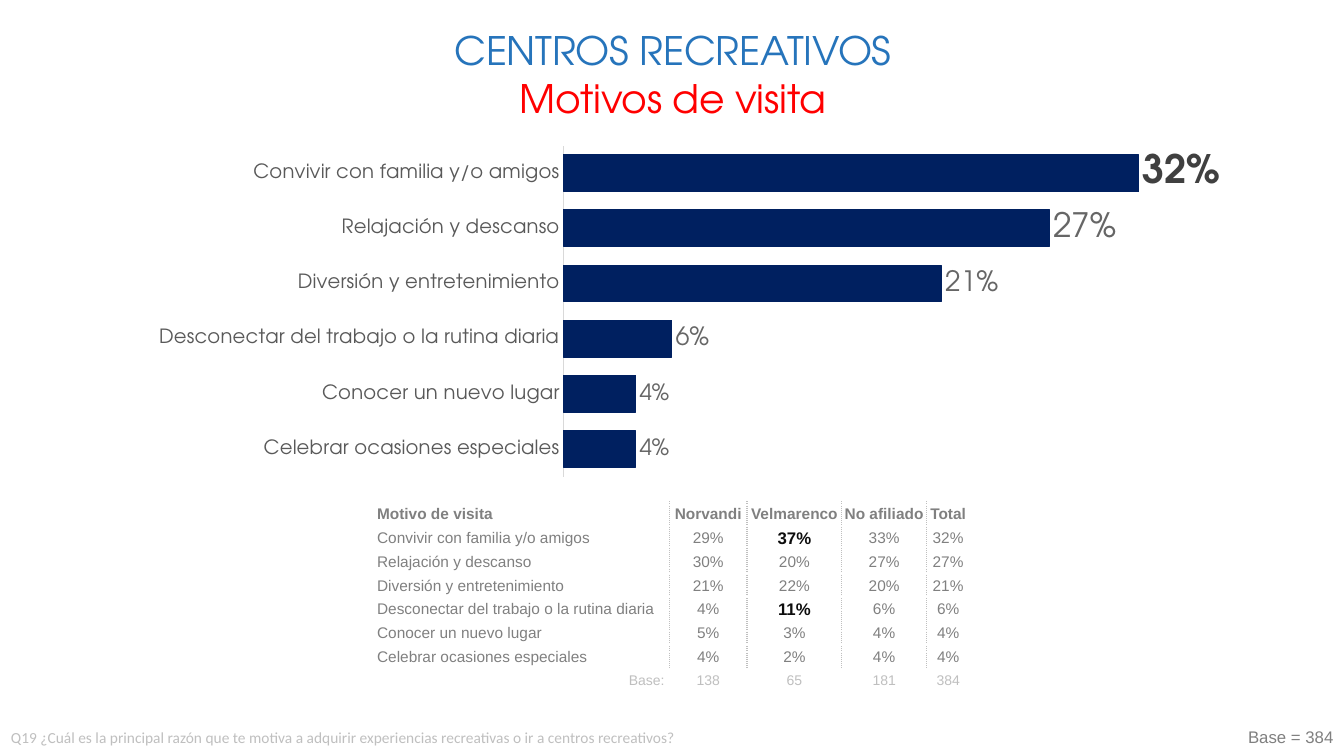
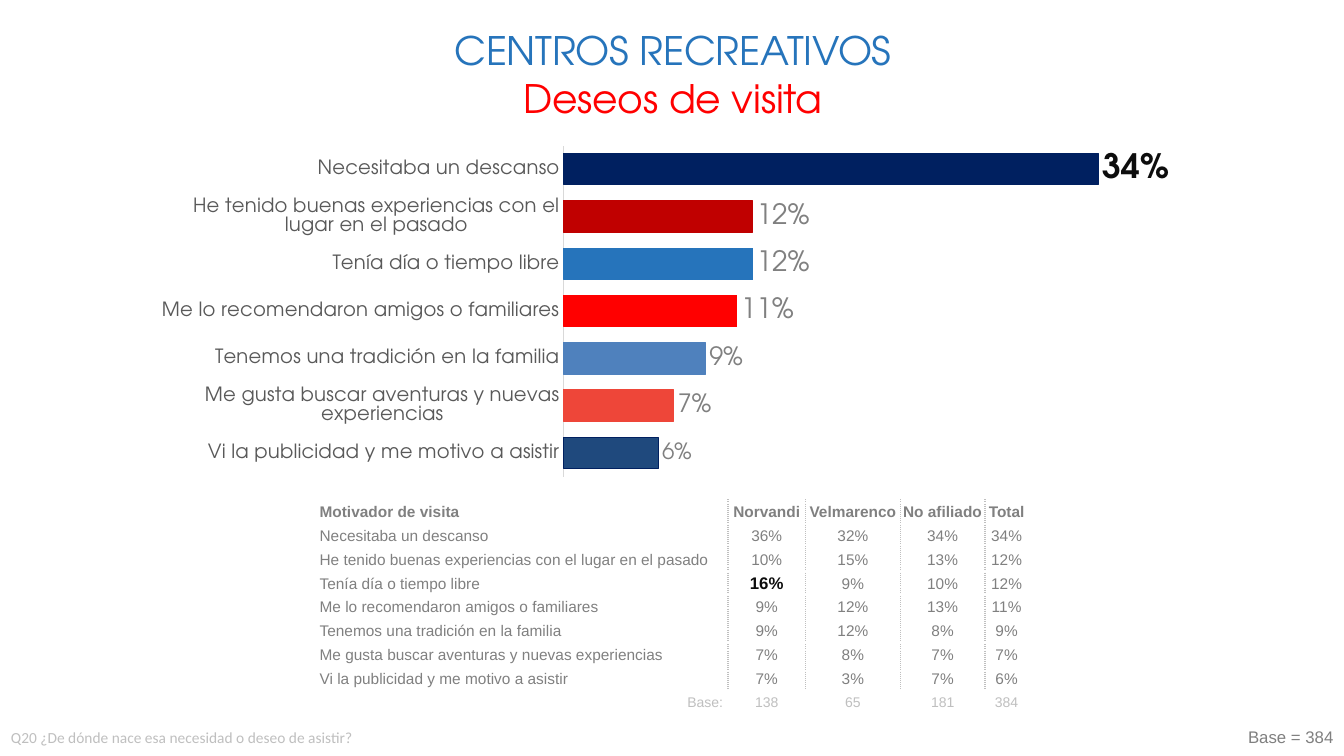
from dataclasses import dataclass

from lxml import etree
from pptx import Presentation
from pptx.chart.data import CategoryChartData
from pptx.dml.color import RGBColor
from pptx.enum.chart import XL_CHART_TYPE, XL_LABEL_POSITION, XL_TICK_LABEL_POSITION, XL_TICK_MARK
from pptx.enum.text import MSO_ANCHOR, PP_ALIGN
from pptx.oxml import parse_xml
from pptx.oxml.ns import nsdecls, qn
from pptx.util import Inches, Pt

LEFT, CENTER, RIGHT = PP_ALIGN.LEFT, PP_ALIGN.CENTER, PP_ALIGN.RIGHT
MIDDLE = MSO_ANCHOR.MIDDLE
BAR = XL_CHART_TYPE.BAR_CLUSTERED
OUTSIDE_END = XL_LABEL_POSITION.OUTSIDE_END
NO_TICK = XL_TICK_MARK.NONE
NO_LABELS = XL_TICK_LABEL_POSITION.NONE


@dataclass(frozen=True)
class Theme:
    display: str = "TeX Gyre Adventor"
    body: str = "Arial"
    note: str = "Calibri"
    blue: str = "2674BB"
    red: str = "FF0000"
    navy: str = "002060"
    black: str = "0D0D0D"
    charcoal: str = "404040"
    dark: str = "595959"
    mid: str = "666666"
    gray: str = "808080"
    pale: str = "BFBFBF"
    axis: str = "D9D9D9"
    title_size: int = 28
    category_size: int = 14
    strong_size: int = 12
    cell_size: int = 11
    base_size: int = 10


T = Theme()

SLIDE_SIZE = (13.33, 7.5)
TITLE_BOX = (2.86, 0.24, 7.63, 0.97)
QUESTION_BOX = (0.01, 7.17, 9.41, 0.29)
BASE_BOX = (12.28, 7.16, 1.06, 0.3)
CHART_BOX = (1.47, 1.29, 10.85, 3.59)
PLOT_SHARES = {"x": 0.38, "y": 0.043, "w": 0.575, "h": 0.915}
VALUE_COLUMNS = (0.77, 0.94, 0.84, 0.43)
ROW_POINTS = 17

HEADING = "CENTROS RECREATIVOS"
GROUPS = ("Norvandi", "Velmarenco", "No afiliado", "Total")
BASES = (138, 65, 181, 384)

# Each row: label, percentages by group, bar colour, value label size.
SLIDES = [
    {
        "subtitle": "Motivos de visita",
        "question": "Q19 ¿Cuál es la principal razón que te motiva a adquirir experiencias "
                    "recreativas o ir a centros recreativos?",
        "header": "Motivo de visita",
        "rows": [
            ("Convivir con familia y/o amigos", (29, 37, 33, 32), T.navy, 28),
            ("Relajación y descanso", (30, 20, 27, 27), T.navy, 24),
            ("Diversión y entretenimiento", (21, 22, 20, 21), T.navy, 20),
            ("Desconectar del trabajo o la rutina diaria", (4, 11, 6, 6), T.navy, 18),
            ("Conocer un nuevo lugar", (5, 3, 4, 4), T.navy, 16),
            ("Celebrar ocasiones especiales", (4, 2, 4, 4), T.navy, 16),
        ],
        "highlights": {(1, 2), (4, 2)},
        "axis_max": 0.35,
        "label_color": T.mid,
        "top_label_color": T.charcoal,
        "table_at": (3.73, 4.98),
        "label_column": 2.91,
    },
    {
        "subtitle": "Deseos de visita",
        "question": "Q20 ¿De dónde nace esa necesidad o deseo de asistir?",
        "header": "Motivador de visita",
        "rows": [
            ("Necesitaba un descanso", (36, 32, 34, 34), T.navy, 24),
            ("He tenido buenas experiencias con el lugar en el pasado", (10, 15, 13, 12), "C00000", 20),
            ("Tenía día o tiempo libre", (16, 9, 10, 12), T.blue, 20),
            ("Me lo recomendaron amigos o familiares", (9, 12, 13, 11), T.red, 20),
            ("Tenemos una tradición en la familia", (9, 12, 8, 9), "4F81BD", 18),
            ("Me gusta buscar aventuras y nuevas experiencias", (7, 8, 7, 7), "EE4639", 18),
            ("Vi la publicidad y me motivo a asistir", (7, 3, 7, 6), "1F497D", 16),
        ],
        "highlights": {(3, 1)},
        "axis_max": 0.4,
        "label_color": T.gray,
        "top_label_color": T.black,
        "table_at": (3.16, 4.96),
        "label_column": 4.06,
    },
]


def rgb(value):
    return RGBColor.from_string(value)


def style_font(font, name, size, color, bold=False):
    font.name, font.size, font.bold = name, Pt(size), bold
    font.color.rgb = rgb(color)


def add_text(s, box, text, name, size, color, wrap=True):
    tf = s.shapes.add_textbox(*map(Inches, box)).text_frame
    tf.word_wrap = wrap
    tf.text = text
    style_font(tf.paragraphs[0].runs[0].font, name, size, color)
    return tf


def add_title(s, subtitle):
    tf = add_text(s, TITLE_BOX, HEADING, T.display, T.title_size, T.blue)
    tf.margin_left = tf.margin_right = tf.margin_bottom = 0
    tf.margin_top = Inches(0.02)
    p = tf.add_paragraph()
    p.text = subtitle
    p.space_before = Pt(1)
    style_font(p.runs[0].font, T.display, T.title_size, T.red)
    for p in tf.paragraphs:
        p.alignment = CENTER
        p.runs[0].font._element.set("spc", "-10")


def set_plot_area(chart):
    """Fix the inner plot area as shares of the chart frame."""
    plot_area = chart._chartSpace.chart.plotArea
    for old in plot_area.findall(qn("c:layout")):
        plot_area.remove(old)
    layout = parse_xml(f"<c:layout {nsdecls('c')}><c:manualLayout/></c:layout>")
    settings = {"layoutTarget": "inner", "xMode": "edge", "yMode": "edge", **PLOT_SHARES}
    for tag, value in settings.items():
        etree.SubElement(layout[0], qn(f"c:{tag}")).set("val", str(value))
    plot_area.insert(0, layout)


def style_axes(chart, axis_max):
    cat, val = chart.category_axis, chart.value_axis
    for axis in (cat, val):
        axis.has_major_gridlines = False
        axis.major_tick_mark = axis.minor_tick_mark = NO_TICK
    style_font(cat.tick_labels.font, T.display, T.category_size, T.dark)
    cat.format.line.color.rgb = rgb(T.axis)
    cat.format.line.width = Pt(0.75)
    val.minimum_scale, val.maximum_scale = 0, axis_max
    val.tick_label_position = NO_LABELS
    val.format.line.fill.background()


def add_bar_chart(s, content):
    rows = content["rows"][::-1]
    data = CategoryChartData(number_format="0%")
    data.categories = [row[0] for row in rows]
    data.add_series("Series 1", [row[1][-1] / 100 for row in rows])
    chart = s.shapes.add_chart(BAR, *map(Inches, CHART_BOX), data).chart
    chart.has_legend = chart.has_title = False
    style_font(chart.font, T.note, 10, "000000")
    set_plot_area(chart)
    style_axes(chart, content["axis_max"])

    plot = chart.plots[0]
    plot.gap_width = 50
    plot.vary_by_categories = False
    series = plot.series[0]
    series.format.fill.solid()
    series.format.fill.fore_color.rgb = rgb(T.navy)
    labels = series.data_labels
    labels.show_value = True
    labels.number_format, labels.number_format_is_linked = "0%", False
    labels.position = OUTSIDE_END
    style_font(labels.font, T.display, 18, content["label_color"])

    for i, (_, _, color, size) in enumerate(rows):
        point = series.points[i]
        point.format.fill.solid()
        point.format.fill.fore_color.rgb = rgb(color)
        point.format.line.color.rgb = rgb(T.navy if i == 0 else color)
        point.format.line.width = Pt(0.75)
        top = i == len(rows) - 1
        label_color = content["top_label_color" if top else "label_color"]
        style_font(point.data_label.font, T.display, size, label_color, top)
        point.data_label.position = OUTSIDE_END


def add_dotted_border(cell, side):
    cell._tc.get_or_add_tcPr().append(parse_xml(
        f'<a:{side} {nsdecls("a")} w="12700"><a:solidFill><a:srgbClr val="{T.pale}"/>'
        f'</a:solidFill><a:prstDash val="sysDot"/></a:{side}>'))


def fill_cell(cell, text, align, size, color, bold):
    cell.fill.background()
    cell.vertical_anchor = MIDDLE
    cell.margin_left = cell.margin_right = cell.margin_top = Inches(0.01)
    cell.margin_bottom = 0
    cell.text = text
    p = cell.text_frame.paragraphs[0]
    p.alignment = align
    style_font(p.runs[0].font, T.body, size, color, bold)


def add_group_table(s, content):
    lines = [(content["header"], *GROUPS)]
    lines += [(label, *(f"{v}%" for v in values)) for label, values, _, _ in content["rows"]]
    lines.append(("Base:", *map(str, BASES)))
    widths = (content["label_column"], *VALUE_COLUMNS)
    base_row, last_col = len(lines) - 1, len(widths) - 1

    left, top = map(Inches, content["table_at"])
    table = s.shapes.add_table(len(lines), len(widths), left, top, Inches(sum(widths)),
                               Pt(ROW_POINTS * len(lines))).table
    table.first_row = table.horz_banding = False
    for column, width in zip(table.columns, widths):
        column.width = Inches(width)
    for r, line in enumerate(lines):
        table.rows[r].height = Pt(ROW_POINTS)
        for c, text in enumerate(line):
            cell = table.cell(r, c)
            if r < base_row:
                if c > 0:
                    add_dotted_border(cell, "lnL")
                if c < last_col:
                    add_dotted_border(cell, "lnR")
            align = CENTER if c else RIGHT if r == base_row else LEFT
            if (r, c) in content["highlights"]:
                look = (T.strong_size, T.black, True)
            elif r == base_row:
                look = (T.base_size, T.pale, False)
            else:
                look = (T.cell_size, T.gray, r == 0)
            fill_cell(cell, text, align, *look)
    table.cell(base_row, 0).margin_right = Inches(0.05)


def add_survey_slide(prs, content):
    s = prs.slides.add_slide(prs.slide_layouts[6])
    add_title(s, content["subtitle"])
    add_text(s, QUESTION_BOX, content["question"], T.note, 11, T.pale)
    add_text(s, BASE_BOX, f"Base = {BASES[-1]}", T.body, 12, T.gray, wrap=False)
    add_group_table(s, content)
    add_bar_chart(s, content)


def main():
    prs = Presentation()
    prs.slide_width, prs.slide_height = map(Inches, SLIDE_SIZE)
    for content in SLIDES:
        add_survey_slide(prs, content)
    prs.save("out.pptx")


if __name__ == "__main__":
    main()
